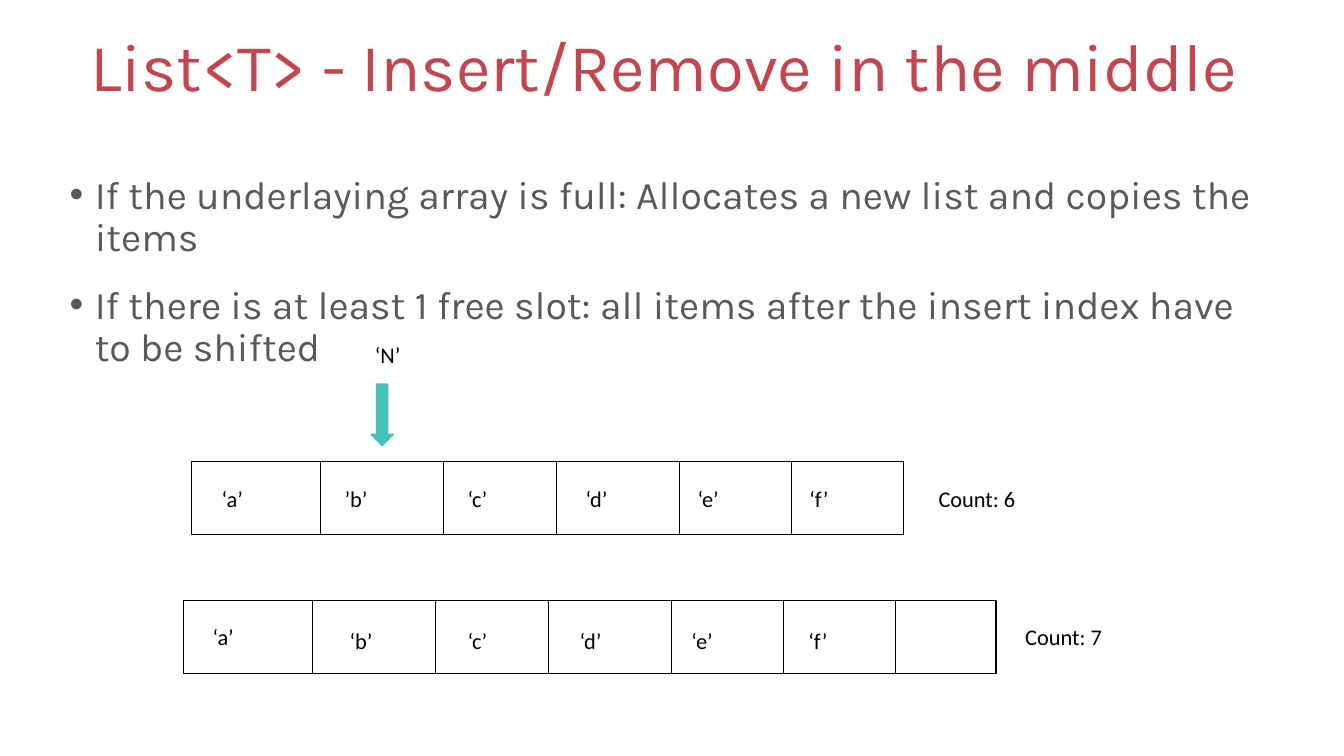
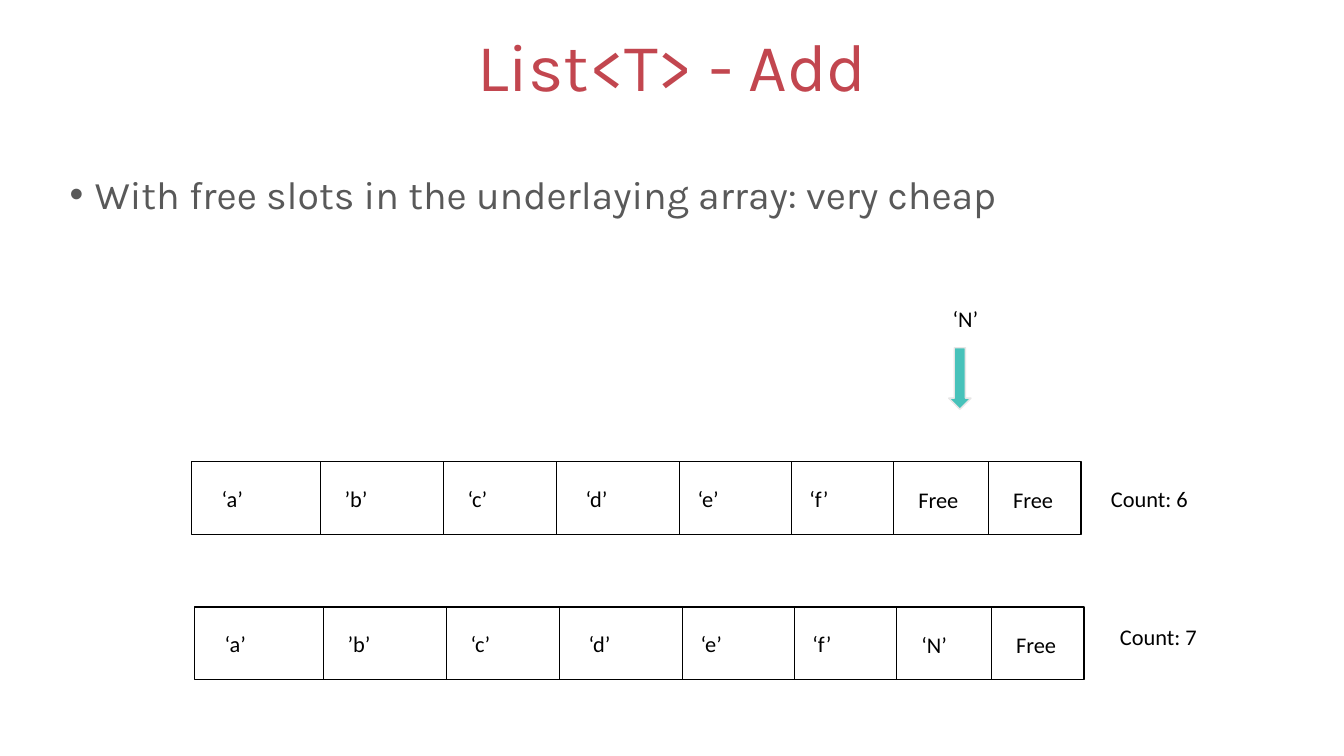
from lxml import etree
from pptx import Presentation
from pptx.dml.color import RGBColor
from pptx.enum.shapes import MSO_CONNECTOR as Connector, MSO_SHAPE as Preset
from pptx.enum.text import MSO_ANCHOR as Anchor, MSO_AUTO_SIZE as AutoSize, PP_ALIGN as Align
from pptx.oxml.ns import qn
from pptx.util import Inches, Pt

RED = RGBColor(0xC2, 0x46, 0x4F)
GREY = RGBColor(0x59, 0x59, 0x59)
TEAL = RGBColor(0x47, 0xC2, 0xBA)
PALE = RGBColor(0xE7, 0xE6, 0xE6)
BLACK = RGBColor(0, 0, 0)
HEADING_FONT, LABEL_FONT = "Karla", "Calibri"

TITLE_BOX = (0, -0.03, 13.33, 1.45)
BODY_BOX = (0.59, 1.69, 12.08, 5.45)
ROW_HEIGHT = 0.72
LABEL_WIDTH, COUNT_WIDTH, LABEL_HEIGHT = 0.94, 1.22, 0.37
LETTER_DIVIDERS = [1.28, 2.5, 3.62, 4.84, 5.95]
LETTERS = [
    ("‘a’", 0.2, 0.18), ("’b’", 1.42, 0.18), ("‘c’", 2.64, 0.18),
    ("‘d’", 3.81, 0.18), ("‘e’", 4.92, 0.18), ("‘f’", 6.03, 0.18),
]
SHIFTED_LETTERS = [
    ("‘a’", 0.19, 0.17), ("‘b’", 1.55, 0.21), ("‘c’", 2.72, 0.21),
    ("‘d’", 3.83, 0.21), ("‘e’", 4.94, 0.21), ("‘f’", 6.1, 0.21),
]


def place(shape, box):
    shape.left, shape.top, shape.width, shape.height = map(Inches, box)


def add_span(para, text, size, font, color):
    span = para.add_run()
    span.text = text
    span.font.size = Pt(size)
    span.font.name = font
    span.font.color.rgb = color


def add_title(page, box, text):
    title = page.shapes.title
    place(title, box)
    title.text_frame.vertical_anchor = Anchor.MIDDLE
    para = title.text_frame.paragraphs[0]
    para.alignment = Align.CENTER
    para.line_spacing = 0.9
    add_span(para, text, 48, HEADING_FONT, RED)


def add_bullets(page, box, items):
    body = page.placeholders[1]
    place(body, box)
    frame = body.text_frame
    for index, item in enumerate(items):
        para = frame.add_paragraph() if index else frame.paragraphs[0]
        para.line_spacing = 0.9
        para.space_before = Pt(18)
        properties = para._p.get_or_add_pPr()
        properties.set("marL", str(Inches(0.25)))
        properties.set("indent", str(Inches(-0.25)))
        etree.SubElement(properties, qn("a:buFont")).set("typeface", "Arial")
        etree.SubElement(properties, qn("a:buChar")).set("char", "•")
        add_span(para, item, 28, HEADING_FONT, GREY)


def add_label(page, left, top, text, width=LABEL_WIDTH):
    label = page.shapes.add_textbox(*map(Inches, (left, top, width, LABEL_HEIGHT)))
    frame = label.text_frame
    frame.word_wrap = True
    frame.auto_size = AutoSize.SHAPE_TO_FIT_TEXT
    add_span(frame.paragraphs[0], text, 16, LABEL_FONT, BLACK)


def add_divider(page, x, top):
    divider = page.shapes.add_connector(
        Connector.STRAIGHT, *map(Inches, (x, top, x, top + ROW_HEIGHT)))
    divider.line.color.rgb = BLACK
    divider.line.width = Pt(0.5)
    etree.SubElement(divider._element.spPr, qn("a:effectLst"))


def add_array(page, left, top, width, dividers, labels):
    frame = page.shapes.add_shape(
        Preset.RECTANGLE, *map(Inches, (left, top, width, ROW_HEIGHT)))
    frame.shadow.inherit = False
    frame.fill.background()
    frame.line.color.rgb = BLACK
    frame.line.width = Pt(1)
    for offset in dividers:
        add_divider(page, left + offset, top)
    for text, across, down in labels:
        add_label(page, left + across, top + down, text)


def add_new_item(page, left, top, outline):
    add_label(page, left, top, "‘N’")
    arrow = page.shapes.add_shape(
        Preset.DOWN_ARROW, *map(Inches, (left + 0.06, top + 0.47, 0.22, 0.61)))
    arrow.shadow.inherit = False
    arrow.fill.solid()
    arrow.fill.fore_color.rgb = TEAL
    arrow.line.color.rgb = outline
    arrow.line.width = Pt(1)


def add_page(deck, title, bullets):
    page = deck.slides.add_slide(deck.slide_layouts[1])
    add_title(page, TITLE_BOX, title)
    add_bullets(page, BODY_BOX, bullets)
    return page


def add_insert_page(deck):
    page = add_page(deck, "List<T> - Insert/Remove in the middle ", [
        "If the underlaying array is full: Allocates a new list and copies the items",
        "If there is at least 1 free slot: all items after the insert index have to be shifted",
    ])
    dividers = LETTER_DIVIDERS + [7.06]
    add_new_item(page, 3.62, 3.34, TEAL)
    add_array(page, 1.9, 4.58, 7.06, dividers, LETTERS)
    add_label(page, 9.21, 4.76, "Count: 6", COUNT_WIDTH)
    add_array(page, 1.82, 5.96, 8.06, dividers, SHIFTED_LETTERS)
    add_label(page, 10.07, 6.13, "Count: 7", COUNT_WIDTH)


def add_append_page(deck):
    page = add_page(deck, "List<T> - Add", [
        "With free slots in the underlaying array: very cheap",
    ])
    dividers = LETTER_DIVIDERS + [6.96, 7.9]
    add_new_item(page, 9.35, 2.98, PALE)
    for left, top, slot in ((1.9, 4.58, "Free"), (1.93, 6.02, "‘N’")):
        labels = LETTERS + [(slot, 7.11, 0.19), ("Free", 8.05, 0.19)]
        add_array(page, left, top, 8.82, dividers, labels)
    add_label(page, 10.92, 4.76, "Count: 6", COUNT_WIDTH)
    add_label(page, 11.01, 6.13, "Count: 7", COUNT_WIDTH)


deck = Presentation()
deck.slide_width, deck.slide_height = Inches(13.33), Inches(7.5)
add_insert_page(deck)
add_append_page(deck)
deck.save("out.pptx")
